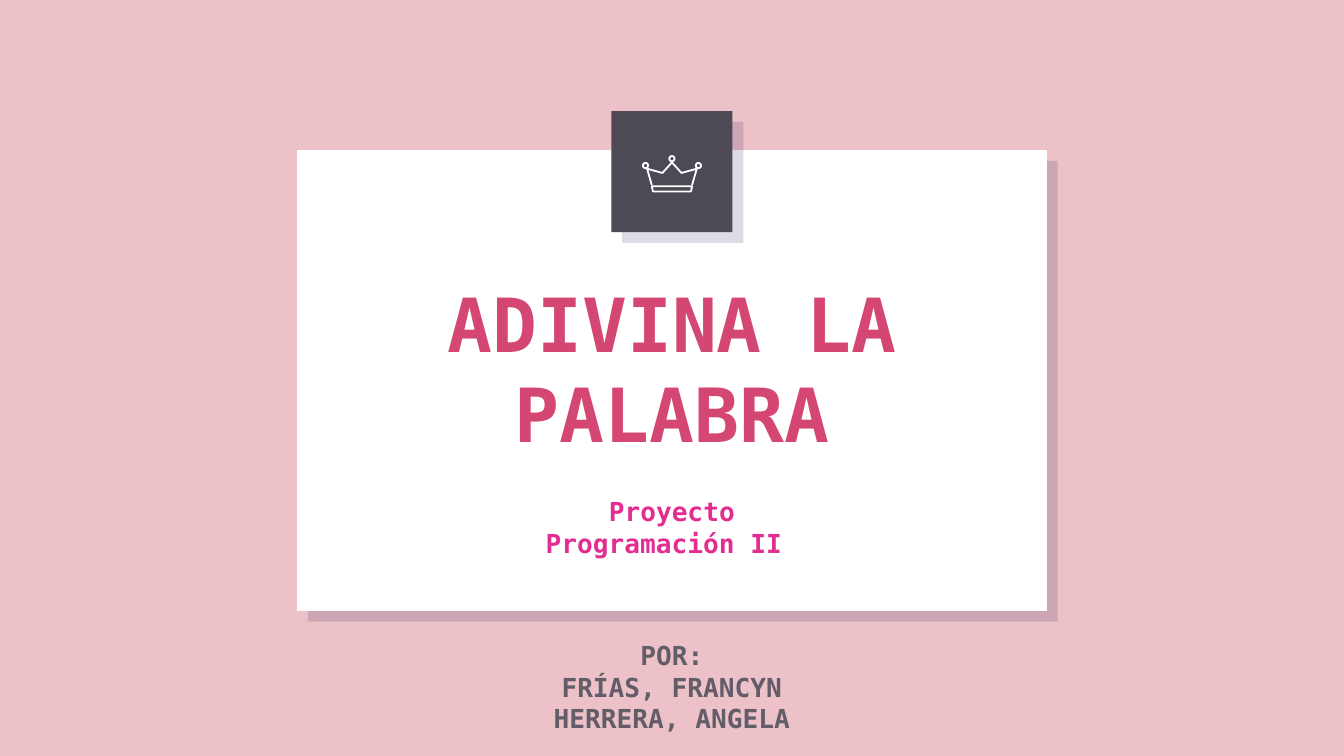
import pptx
import pptx.dml.color
import pptx.enum.shapes
import pptx.enum.text
import pptx.oxml
import pptx.oxml.ns
import pptx.util

Cm, Pt = pptx.util.Cm, pptx.util.Pt
SHAPE = pptx.enum.shapes.MSO_SHAPE
ANCHOR = pptx.enum.text.MSO_ANCHOR

COLOURS = {
    "background": "ECC1C8",
    "card": "FFFFFF",
    "badge": "4D4A56",
    "shadow": "20124D",
    "crown": "FFFFFF",
    "title": "D54773",
    "subject": "E32D91",
    "authors": "625D69",
}
FONT = "DejaVu Sans Mono"
PAGE_WIDTH, PAGE_HEIGHT = 25.4, 14.29


def colour(name):
    return pptx.dml.color.RGBColor.from_string(COLOURS[name])


def centred(top, width, height):
    """Return a box in centimetres, centred across the page."""
    return (PAGE_WIDTH - width) / 2, top, width, height


def add_text(page, box, lines, size, fill, inset=0.13, anchor=ANCHOR.TOP):
    frame = page.shapes.add_textbox(*map(Cm, box)).text_frame
    frame.word_wrap = True
    frame.vertical_anchor = anchor
    frame.margin_left = frame.margin_right = Cm(0.25)
    frame.margin_top = frame.margin_bottom = Cm(inset)
    for index, line in enumerate(lines):
        para = frame.paragraphs[0] if index == 0 else frame.add_paragraph()
        para.alignment = pptx.enum.text.PP_ALIGN.CENTER
        span = para.add_run()
        span.text = line
        span.font.name = FONT
        span.font.size = Pt(size)
        span.font.bold = True
        span.font.color.rgb = colour(fill)


def add_panel(page, box, fill):
    """Draw a rectangle with a hard, translucent offset shadow."""
    panel = page.shapes.add_shape(SHAPE.RECTANGLE, *map(Cm, box))
    panel.fill.solid()
    panel.fill.fore_color.rgb = colour(fill)
    panel.line.fill.background()
    panel._element.spPr.append(pptx.oxml.parse_xml(
        f'<a:effectLst {pptx.oxml.ns.nsdecls("a")}>'
        f'<a:outerShdw blurRad="0" dist="{Pt(8.2)}" dir="2700000" '
        'algn="bl" rotWithShape="0">'
        f'<a:srgbClr val="{COLOURS["shadow"]}"><a:alpha val="15000"/></a:srgbClr>'
        '</a:outerShdw></a:effectLst>'))


def style_outline(shape):
    shape.shadow.inherit = False
    shape.fill.background()
    shape.line.color.rgb = colour("crown")
    shape.line.width = Pt(0.96)


def add_crown(page, box):
    left, top, width, _ = box
    middle = left + width / 2

    # Body and band: right halves, mirrored about the middle
    body = [(0.38, 1.4), (0.47, 1.09), (0.18, 1.17), (0, 0.97)]
    band = [(0, 1.52), (0.36, 1.52), (0.38, 1.42), (0, 1.42)]
    for half, closed in ((body, False), (band, True)):
        mirrored = half + [(-x, y) for x, y in reversed(half) if x]
        points = [(Cm(middle + x), Cm(top + y)) for x, y in mirrored]
        builder = page.shapes.build_freeform(*points[0])
        builder.add_line_segments(points[1:], close=closed)
        style_outline(builder.convert_to_shape())

    # Balls on the three tips
    diameter = 0.1
    for x, y in ((-0.5, 1.03), (0, 0.9), (0.5, 1.03)):
        ball = page.shapes.add_shape(
            SHAPE.OVAL, Cm(middle + x - diameter / 2),
            Cm(top + y - diameter / 2), Cm(diameter), Cm(diameter))
        style_outline(ball)


def add_badge(page, box):
    add_panel(page, box, "badge")
    add_crown(page, box)


def add_card(page, box):
    top = box[1]
    add_panel(page, box, "card")
    add_badge(page, centred(top - 0.74, 2.29, 2.29))
    add_text(page, centred(top + 2.49, 11.46, 3.23), ["ADIVINA LA PALABRA"],
             size=40, fill="title", inset=0.25, anchor=ANCHOR.MIDDLE)
    add_text(page, centred(top + 6.4, 5.31, 1.45),
             ["Proyecto", "Programación II "], size=14, fill="subject")


def add_cover(deck):
    page = deck.slides.add_slide(deck.slide_layouts[6])
    page.background.fill.solid()
    page.background.fill.fore_color.rgb = colour("background")
    add_card(page, centred(2.84, 14.17, 8.71))
    add_text(page, centred(11.96, 5.97, 2.06),
             ["POR:", "FRÍAS, FRANCYN", "HERRERA, ANGELA"],
             size=14, fill="authors")


deck = pptx.Presentation()
deck.slide_width, deck.slide_height = Cm(PAGE_WIDTH), Cm(PAGE_HEIGHT)
add_cover(deck)
deck.save("out.pptx")
